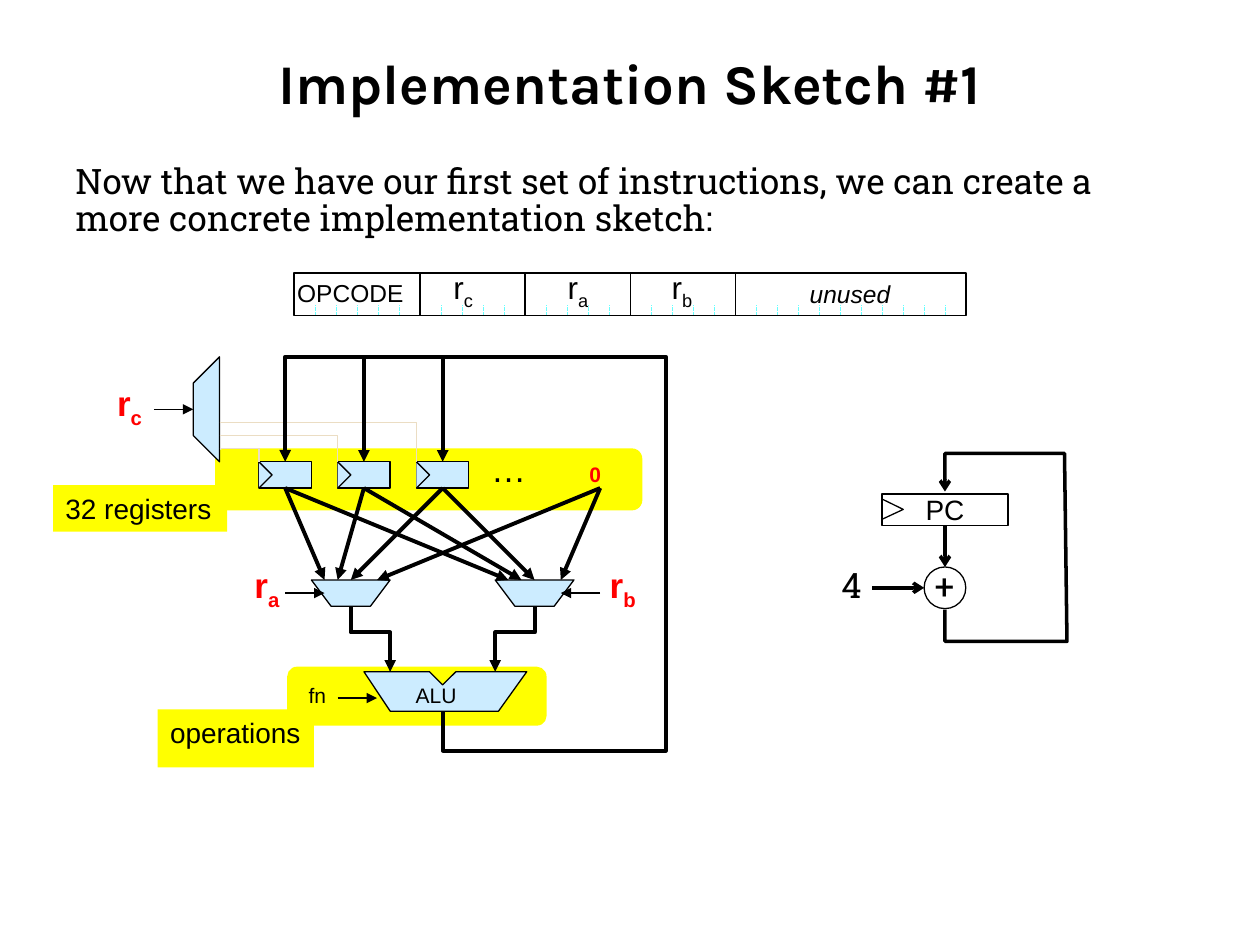
from pptx import Presentation
from pptx.dml.color import RGBColor
from pptx.enum.dml import MSO_LINE
from pptx.enum.shapes import MSO_CONNECTOR, MSO_SHAPE
from pptx.enum.text import MSO_ANCHOR, MSO_AUTO_SIZE, PP_ALIGN
from pptx.oxml.ns import qn
from pptx.util import Cm, Pt
from lxml import etree

RECTANGLE, ROUNDED, OVAL = MSO_SHAPE.RECTANGLE, MSO_SHAPE.ROUNDED_RECTANGLE, MSO_SHAPE.OVAL
STRAIGHT, LONG_DASH = MSO_CONNECTOR.STRAIGHT, MSO_LINE.LONG_DASH
LEFT, CENTER = PP_ALIGN.LEFT, PP_ALIGN.CENTER
MIDDLE, GROW = MSO_ANCHOR.MIDDLE, MSO_AUTO_SIZE.SHAPE_TO_FIT_TEXT
TOP, BOTTOM = 0, 2

COLORS = {"ink": "000000", "paper": "FFFFFF", "highlight": "FFFF00", "logic": "CCECFF",
          "signal": "FF0000", "enable": "EBDDC3", "tick": "66FFFF"}
THIN, THICK, LOOP = 0.75, 2.25, 2

TITLE = "Implementation Sketch #1"
INTRO = ("Now that we have our first set of instructions, "
         "we can create a more concrete implementation sketch:")

HIGHLIGHTS = [
    (ROUNDED, (4.34, 9.04, 8.61, 1.25), ""),
    (RECTANGLE, (1.07, 9.78, 3.51, 0.94), "32 registers"),
    (RECTANGLE, (3.18, 14.3, 3.15, 1.17), "operations"),
    (ROUNDED, (5.79, 13.44, 5.23, 1.19), ""),
]

BIT, WORD_LEFT, WORD_TOP, WORD_HEIGHT = 2.54 / 6, 5.93, 5.51, 0.85
FIELD_BITS = [6, 5, 5, 5, 11]
FIELD_LABELS = [
    ((5.74, 5.49, 2.67, 0.86), "OPCODE", "", dict(size=14, wrap=False)),
    ((8.89, 5.28, 1.07, 1.02), "r", "c", dict(size=18)),
    ((10.8, 5.28, 1.7, 1.02), "r", "a", dict(size=18, align=CENTER)),
    ((12.9, 5.28, 1.7, 1.02), "r", "b", dict(size=18, align=CENTER)),
    ((14.81, 5.51, 4.65, 0.86), "unused", "", dict(size=14, align=CENTER, italic=True)),
]

# Datapath positions are (column, row) on a grid
CELL, GRID_LEFT, GRID_TOP = 2.54 / 9.6, 5.22, 9.31
REGISTER_COLUMNS = [0, 6, 12]
ZERO_SOURCE = (26, 2)
MUX_COLUMNS = [4, 18]
MUX_INPUTS = [1, 2, 3, 5]
MUX = [(0, 9), (1.5, 11), (4.5, 11), (6, 9)]
ALU = [(8, 16), (10, 19), (18.25, 19), (20.4, 16), (15, 16), (14, 17), (13, 16)]
DECODER = [(-3, -8), (-5, -6), (-5, -2), (-3, 0)]
MUX_OUTPUTS = [[(7, 11), (7, 13), (10, 13), (10, 16)],
               [(21, 11), (21, 13), (18, 13), (18, 16)]]
WRITE_BACK = [(14, 19), (14, 22), (31, 22), (31, -8), (2, -8), (2, 0)]
CONTROLS = [((2, 10), (5, 10)), ((6, 18), (9, 18)),
            ((-8, -4), (-5, -4)), ((26, 10), (23, 10))]
RED = dict(size=20, color="signal", bold=True, wrap=False)
DATAPATH_LABELS = [
    ((9.65, 8.89, 1.52, 1.37), "…", "", dict(size=20, wrap=False)),
    ((2.11, 7.57, 1.07, 1.12), "r", "c", RED),
    ((4.88, 11.23, 1.07, 1.12), "r", "a", RED),
    ((12.04, 11.23, 1.07, 1.12), "r", "b", RED),
    ((5.97, 13.64, 1.07, 0.94), "fn", "", dict(size=12, wrap=False)),
    ((8.13, 13.64, 1.52, 0.94), "ALU", "", dict(size=12, wrap=False)),
    ((11.63, 9.17, 0.74, 0.76), "0", "", dict(RED, size=12)),
]

PC_BOX = (17.78, 9.96, 2.54, 0.63)
PC_CLOCK = [(17.78, 10.06), (18.21, 10.27), (17.78, 10.47)]
ADDER_BOX = (18.63, 11.43, 0.84, 0.84)
PC_LOOP = [(19.05, 12.29), (19.05, 12.93), (21.51, 12.93),
           (21.46, 9.14), (19.05, 9.14), (19.05, 9.91)]
SERIF = dict(size=20, face="Roboto Slab", wrap=False)
PC_LABELS = [((16.71, 11.23, 0.97, 1.12), "4", "", SERIF),
             ((18.59, 11.25, 0.97, 1.12), "+", "", SERIF)]


def rgb(name):
    return RGBColor.from_string(COLORS[name])


def grid(point):
    column, row = point
    return GRID_LEFT + column * CELL, GRID_TOP + row * CELL


def paint(shape, fill, line, width=THIN):
    shape.shadow.inherit = False
    if fill:
        shape.fill.solid()
        shape.fill.fore_color.rgb = rgb(fill)
    else:
        shape.fill.background()
    if line:
        shape.line.color.rgb = rgb(line)
        shape.line.width = Pt(width)
    else:
        shape.line.fill.background()


def add_arrowhead(shape, kind):
    etree.SubElement(shape.line._get_or_add_ln(), qn("a:tailEnd"), type=kind)


def write(shape, text, subscript="", size=16, face="Arial", color="ink", bold=False,
          italic=False, align=LEFT, wrap=True, grow=True, anchor=None, spacing=None):
    frame = shape.text_frame
    frame.word_wrap = wrap
    if grow:
        frame.auto_size = GROW
    frame.vertical_anchor = anchor or MSO_ANCHOR.TOP
    paragraph = frame.paragraphs[0]
    paragraph.alignment = align
    paragraph.line_spacing = spacing
    font = paragraph.font
    font.size, font.name, font.bold, font.italic = Pt(size), face, bold, italic
    font.color.rgb = rgb(color)
    paragraph.add_run().text = text
    if subscript:
        run = paragraph.add_run()
        run.text = subscript
        run._r.get_or_add_rPr().set("baseline", "-25000")


def add_label(box, text, subscript="", **style):
    write(slide.shapes.add_textbox(*map(Cm, box)), text, subscript, **style)


def add_box(kind, box, fill=None, line="ink", width=THIN):
    shape = slide.shapes.add_shape(kind, *map(Cm, box))
    paint(shape, fill, line, width)
    return shape


def add_path(points, fill=None, line="ink", width=THIN, closed=False, arrow=None):
    corners = [(Cm(x), Cm(y)) for x, y in points]
    builder = slide.shapes.build_freeform(*corners[0])
    builder.add_line_segments(corners[1:], close=closed)
    shape = builder.convert_to_shape()
    paint(shape, fill, line, width)
    if arrow:
        add_arrowhead(shape, arrow)


def add_line(start, end, width=THIN, color="ink", arrow=None, source=None, target=None):
    line = slide.shapes.add_connector(STRAIGHT, *map(Cm, (*start, *end)))
    line.line.color.rgb = rgb(color)
    line.line.width = Pt(width)
    if arrow:
        add_arrowhead(line, arrow)
    etree.SubElement(line._element.spPr, qn("a:effectLst"))
    if source:
        line.begin_connect(source, BOTTOM)
    if target:
        line.end_connect(target, TOP)
    return line


presentation = Presentation()
presentation.slide_width, presentation.slide_height = Cm(25.4), Cm(19.05)
slide = presentation.slides.add_slide(presentation.slide_layouts[6])

for kind, box, text in HIGHLIGHTS:
    highlight = add_box(kind, box, "highlight", None)
    if text:
        write(highlight, text, wrap=False)
add_label((1.27, 0.76, 22.86, 1.78), TITLE, size=32, face="Karla", bold=True,
          align=CENTER, anchor=MIDDLE, grow=False)
add_label((1.27, 3.18, 22.86, 1.96), INTRO, size=20, face="Roboto Slab", spacing=0.9)

registers = []
for column in REGISTER_COLUMNS:
    registers.append(add_box(RECTANGLE, (*grid((column, 0)), 4 * CELL, 2 * CELL), "logic"))
    add_path(map(grid, [(column, 0), (column + 1, 1), (column, 2)]), "logic")
for left in MUX_COLUMNS:
    add_path([grid((left + x, y)) for x, y in MUX], "logic", closed=True)
for outline in (ALU, DECODER):
    add_path(map(grid, outline), "logic", closed=True)

sources = [((column + 2, 2), register) for column, register in zip(REGISTER_COLUMNS, registers)]
sources.append((ZERO_SOURCE, None))
for left in MUX_COLUMNS:
    for (start, register), offset in zip(sources, MUX_INPUTS):
        add_line(grid(start), grid((left + offset, 9)), THICK, arrow="triangle", source=register)
for index, column in enumerate(REGISTER_COLUMNS):
    row = -1 - index
    add_path(map(grid, [(-3, row), (column, row), (column, 0)]), line="enable")
for route in MUX_OUTPUTS + [WRITE_BACK]:
    add_path(map(grid, route), width=THICK, arrow="triangle")
for column, register in zip(REGISTER_COLUMNS[1:], registers[1:]):
    add_line(grid((column + 2, -8)), grid((column + 2, 0)), THICK, arrow="triangle",
             target=register)
for start, end in CONTROLS:
    add_line(grid(start), grid(end), arrow="triangle")

word_bottom = WORD_TOP + WORD_HEIGHT
for bit in range(1, sum(FIELD_BITS)):
    x = WORD_LEFT + bit * BIT
    tick = add_line((x, word_bottom), (x, word_bottom - 0.21), 0.25, "tick")
    tick.line.dash_style = LONG_DASH
add_box(RECTANGLE, (WORD_LEFT, WORD_TOP, sum(FIELD_BITS) * BIT, WORD_HEIGHT), width=1)
for count in range(1, len(FIELD_BITS)):
    x = WORD_LEFT + sum(FIELD_BITS[:count]) * BIT
    add_line((x, WORD_TOP), (x, word_bottom))

counter = add_box(RECTANGLE, PC_BOX, "paper")
write(counter, "PC", align=CENTER, wrap=False, grow=False, anchor=MIDDLE)
add_path(PC_CLOCK)
adder = add_box(OVAL, ADDER_BOX)
add_line((19.05, 10.59), (19.05, 11.43), LOOP, arrow="arrow", source=counter, target=adder)
add_line((17.58, 11.85), (18.63, 11.85), LOOP, arrow="arrow")
add_path(PC_LOOP, width=LOOP, arrow="arrow")

for box, text, subscript, style in FIELD_LABELS + DATAPATH_LABELS + PC_LABELS:
    add_label(box, text, subscript, **style)

presentation.save("out.pptx")
